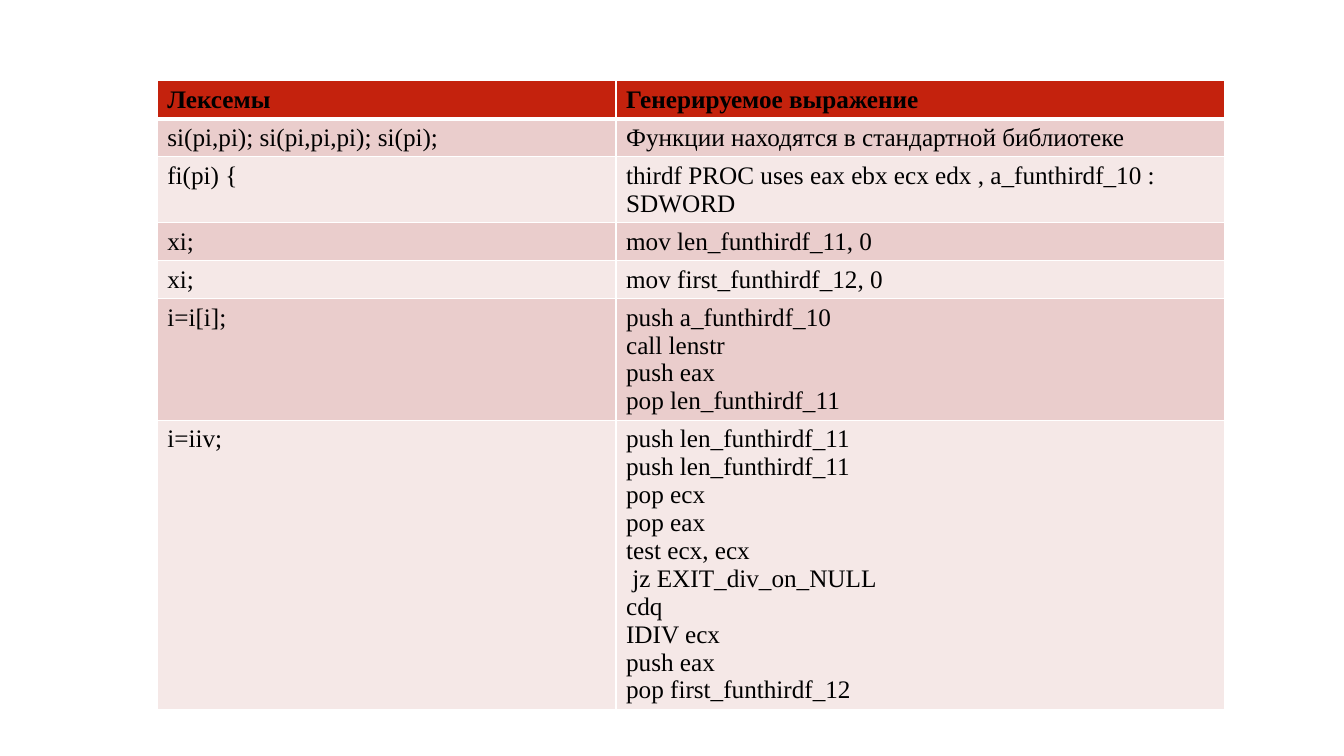
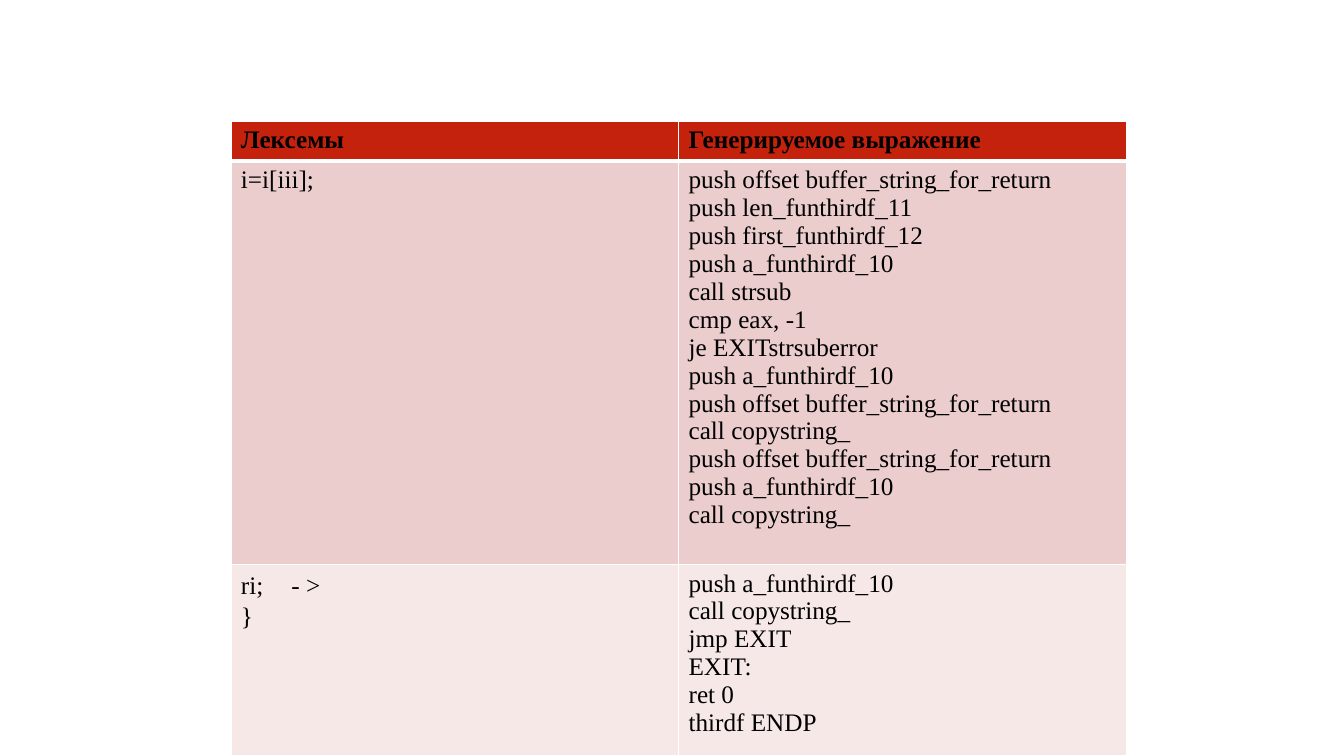
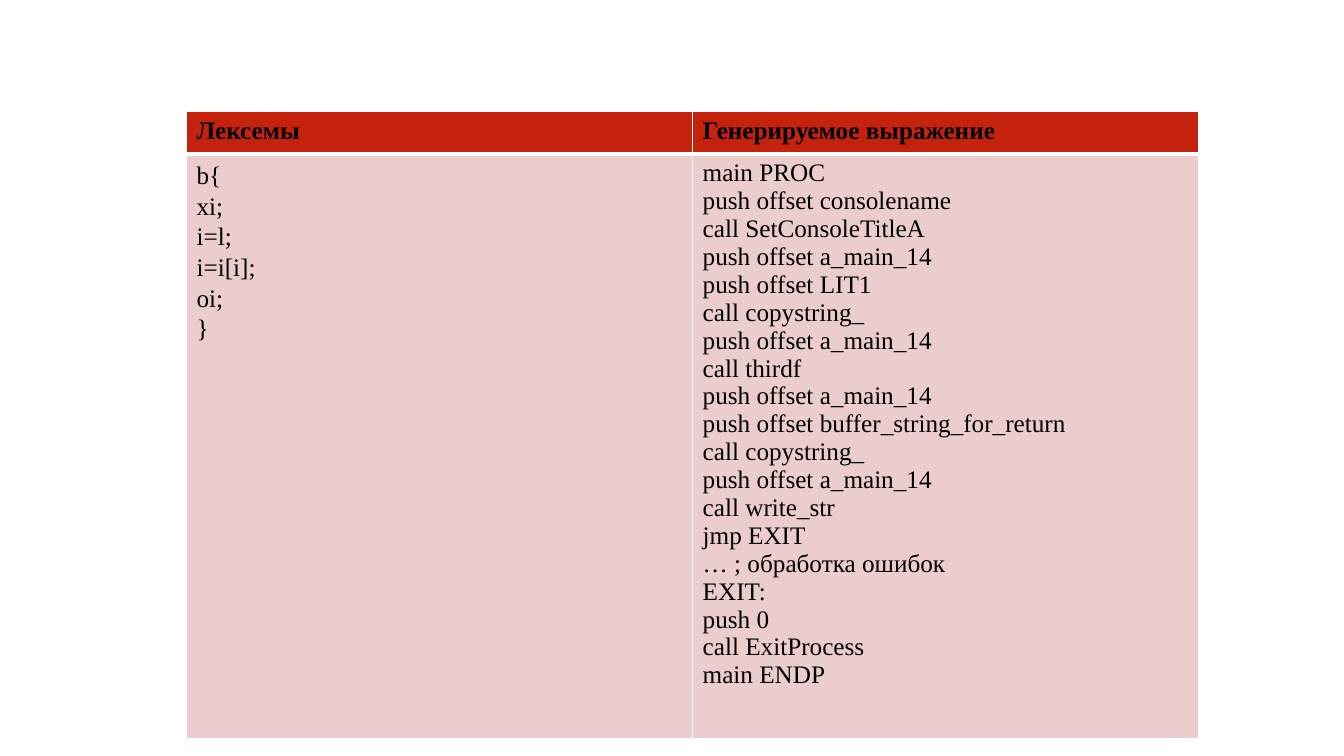
"""Build three slides that map lexemes to the assembly generated from them."""
from dataclasses import dataclass

from lxml import etree
from pptx import Presentation
from pptx.dml.color import RGBColor
from pptx.oxml import ns
from pptx.util import Inches, Pt


@dataclass(frozen=True)
class Theme:
    """Colours, type sizes and line widths shared by all slides."""
    font: str = "Times New Roman"
    size: int = 18
    ink: str = "000000"
    rule: str = "FFFFFF"
    header: str = "C4220D"
    bands: tuple = ("EACDCC", "F5E8E7")
    thin: int = 1
    thick: int = 3
    lexeme_spacing: float = 1.1


THEME = Theme()
HEADINGS = ("Лексемы", "Генерируемое выражение")

DECLARATION_ROWS = [
    (0.36, "si(pi,pi); si(pi,pi,pi); si(pi);", "Функции находятся в стандартной библиотеке"),
    (0.63, "fi(pi) {", "thirdf PROC uses eax ebx ecx edx , a_funthirdf_10 : SDWORD"),
    (0.36, "xi;", "mov len_funthirdf_11, 0"),
    (0.36, "xi;", "mov first_funthirdf_12, 0"),
    (1.16, "i=i[i];", """push a_funthirdf_10
call lenstr
push eax
pop len_funthirdf_11"""),
    (2.77, "i=iiv;", """push len_funthirdf_11
push len_funthirdf_11
pop ecx
pop eax
test ecx, ecx
 jz EXIT_div_on_NULL
cdq
IDIV ecx
push eax
pop first_funthirdf_12"""),
]

SUBSTRING_ROWS = [
    (4, "i=i[iii];", """push offset buffer_string_for_return
push len_funthirdf_11
push first_funthirdf_12
push a_funthirdf_10
call strsub
cmp eax, -1
je EXITstrsuberror
push a_funthirdf_10
push offset buffer_string_for_return
call copystring_
push offset buffer_string_for_return
push a_funthirdf_10
call copystring_"""),
    (1.9, "ri;\t- >\n}", """push a_funthirdf_10
call copystring_
jmp EXIT
EXIT:
ret 0
thirdf ENDP"""),
]

MAIN_ROWS = [
    (5.8, "b{\nxi;\ni=l;\ni=i[i];\noi;\n}", """main PROC
push offset consolename
call SetConsoleTitleA
push offset a_main_14
push offset LIT1
call copystring_
push offset a_main_14
call thirdf
push offset a_main_14
push offset buffer_string_for_return
call copystring_
push offset a_main_14
call write_str
jmp EXIT
… ; обработка ошибок
EXIT:
push 0
call ExitProcess
main ENDP"""),
]


def set_borders(cell, top, bottom):
    """Rule the four sides of a cell, with widths given in points."""
    properties = cell._tc.get_or_add_tcPr()
    widths = {"lnL": THEME.thin, "lnR": THEME.thin, "lnT": top, "lnB": bottom}
    for side, width in widths.items():
        line = etree.SubElement(properties, ns.qn(f"a:{side}"), w=str(Pt(width)))
        fill = etree.SubElement(line, ns.qn("a:solidFill"))
        etree.SubElement(fill, ns.qn("a:srgbClr"), val=THEME.rule)


def write_cell(cell, content, bold, spacing):
    """Put one paragraph per line into a cell and format the runs."""
    cell.text_frame.text = content
    for para in cell.text_frame.paragraphs:
        if spacing:
            para.line_spacing = spacing
        for span in para.runs:
            span.font.name = THEME.font
            span.font.size = Pt(THEME.size)
            span.font.bold = bold
            span.font.color.rgb = RGBColor.from_string(THEME.ink)


def style_cell(cell, row_index):
    """Give a cell the borders and fill of its row."""
    top = THEME.thick if row_index == 1 else THEME.thin
    bottom = THEME.thick if row_index == 0 else THEME.thin
    set_borders(cell, top, bottom)
    colour = THEME.bands[(row_index - 1) % 2] if row_index else THEME.header
    cell.fill.solid()
    cell.fill.fore_color.rgb = RGBColor.from_string(colour)


def add_lexeme_slide(deck, left, top, column_widths, header_height, body_rows):
    """Add a slide with one table of lexemes and generated code."""
    page = deck.slides.add_slide(deck.slide_layouts[6])
    rows = [(header_height, *HEADINGS), *body_rows]
    height = sum(row[0] for row in rows)
    frame = page.shapes.add_table(len(rows), len(HEADINGS), Inches(left), Inches(top),
                                  Inches(sum(column_widths)), Inches(height))
    table = frame.table
    for column, width in zip(table.columns, column_widths):
        column.width = Inches(width)
    for row_index, (row_height, *contents) in enumerate(rows):
        table.rows[row_index].height = Inches(row_height)
        for column_index, content in enumerate(contents):
            cell = table.cell(row_index, column_index)
            is_lexeme_list = column_index == 0 and "\n" in content
            spacing = THEME.lexeme_spacing if is_lexeme_list else None
            write_cell(cell, content, row_index == 0, spacing)
            style_cell(cell, row_index)


def main():
    """Build and save the deck."""
    deck = Presentation()
    deck.slide_width, deck.slide_height = Inches(13.33), Inches(7.5)
    add_lexeme_slide(deck, 1.56, 0.8, (4.55, 6.04), 0.36, DECLARATION_ROWS)
    add_lexeme_slide(deck, 2.29, 1.2, (4.44, 4.44), 0.4, SUBSTRING_ROWS)
    add_lexeme_slide(deck, 1.85, 1.11, (5.02, 5.02), 0.42, MAIN_ROWS)
    deck.save("out.pptx")


if __name__ == "__main__":
    main()
